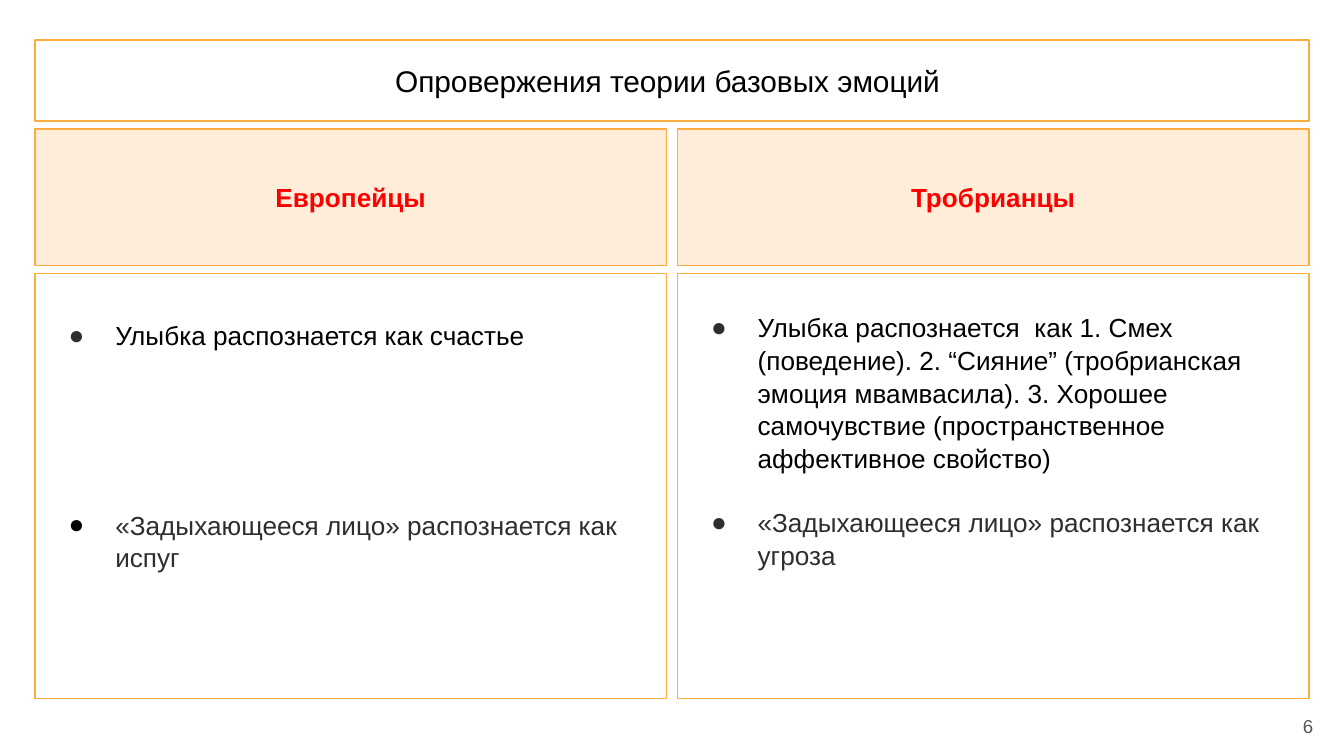
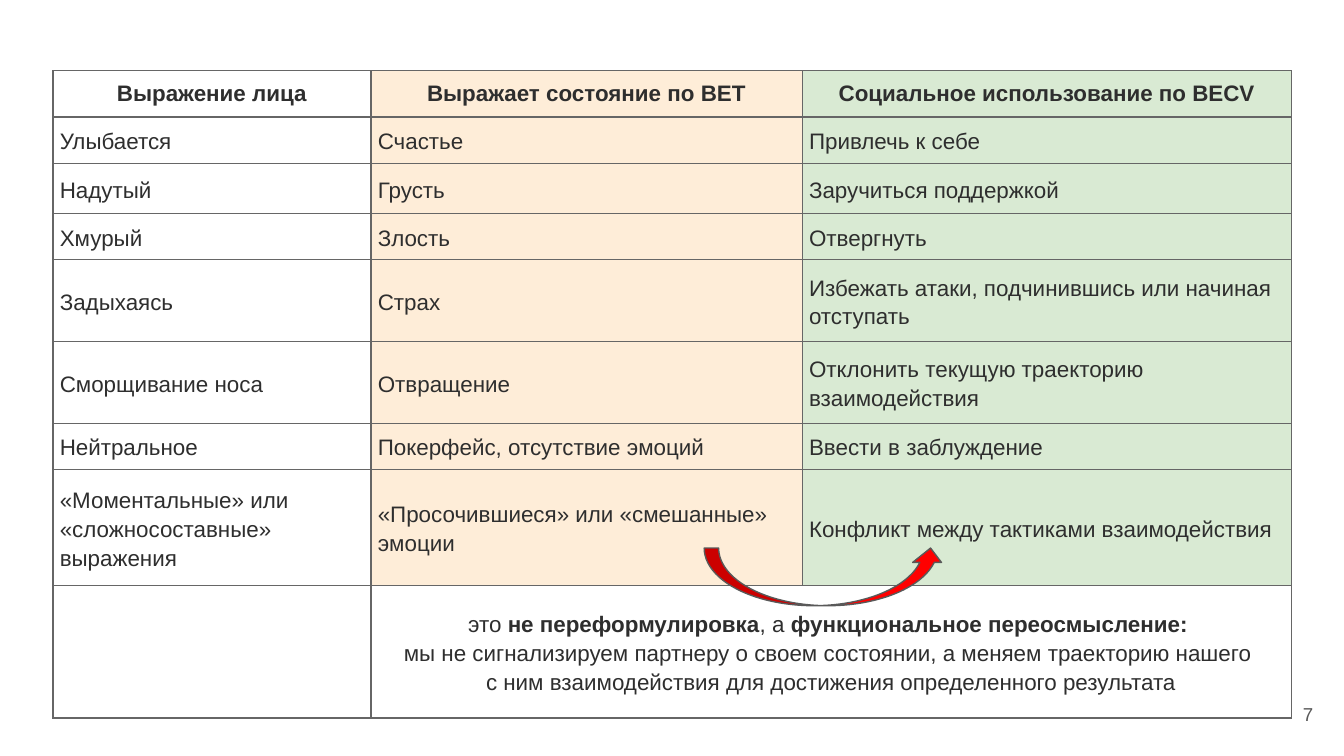
"""Builds two slides comparing views on the theory of basic emotions."""
from lxml import etree
from pptx import Presentation
from pptx import util as u
from pptx.dml.color import RGBColor
from pptx.enum import shapes, text
from pptx.oxml.ns import qn

FONT = "Arial"
BLACK, DARK, GREY, RED = "000000", "2E2E2E", "595959", "FF0000"
WHITE, CREAM, GREEN = "FFFFFF", "FEEDD8", "D9EAD3"
FRAME, GRID = "FFAB40", "666666"
CENTER, LEFT, RIGHT = text.PP_ALIGN.CENTER, text.PP_ALIGN.LEFT, text.PP_ALIGN.RIGHT
MIDDLE, TOP = text.MSO_ANCHOR.MIDDLE, text.MSO_ANCHOR.TOP

MARGIN, GAP, COLUMN = 0.66, 0.2, 11.94
COLUMN_LEFTS = [MARGIN, MARGIN + COLUMN + GAP]
BODY_TOP, BODY_HEIGHT = 5.17, 8.03

CULTURES = [
    ("Европейцы", 0.85, [
        ("Улыбка распознается как счастье", BLACK, DARK, 0),
        ("«Задыхающееся лицо» распознается как испуг", DARK, BLACK, 84),
    ]),
    ("Тробрианцы", 0.7, [
        ("Улыбка распознается  как 1. Смех (поведение). 2. “Сияние” (тробрианская "
         "эмоция мвамвасила). 3. Хорошее самочувствие (пространственное "
         "аффективное свойство)", BLACK, DARK, 0),
        ("«Задыхающееся лицо» распознается как угроза", DARK, DARK, 17),
    ]),
]

EXPRESSIONS = [
    ("Выражение лица", "Выражает состояние по BET", "Социальное использование по BECV"),
    ("Улыбается", "Счастье", "Привлечь к себе"),
    ("Надутый", "Грусть", "Заручиться поддержкой"),
    ("Хмурый", "Злость", "Отвергнуть"),
    ("Задыхаясь", "Страх", "Избежать атаки, подчинившись или начиная отступать"),
    ("Сморщивание носа", "Отвращение", "Отклонить текущую траекторию взаимодействия"),
    ("Нейтральное", "Покерфейс, отсутствие эмоций", "Ввести в заблуждение"),
    ("«Моментальные» или «сложносоставные» выражения",
     "«Просочившиеся» или «смешанные» эмоции",
     "Конфликт между тактиками взаимодействия"),
]
CONCLUSION = [
    [("это ", False), ("не переформулировка", True), (", а ", False),
     ("функциональное переосмысление: ", True)],
    [("мы не сигнализируем партнеру о своем состоянии, а меняем траекторию нашего ", False)],
    [("с ним взаимодействия для достижения определенного результата", False)],
]
COLUMN_WIDTHS = [6.01, 8.15, 9.25]
ROW_HEIGHTS = [0.87, 0.88, 0.95, 0.87, 1.55, 1.54, 0.87, 2.2, 2.5]


def color(value):
    """Turn a hex string into a colour."""
    return RGBColor.from_string(value)


def add_run(paragraph, words, size, tint, bold=False):
    """Append one formatted run."""
    run = paragraph.add_run()
    run.text = words
    font = run.font
    font.name, font.size, font.bold = FONT, u.Pt(size), bold
    font.color.rgb = color(tint)


def prepare_frame(frame, anchor, top=0.25):
    """Set wrapping, insets and anchor of a text frame."""
    frame.word_wrap = True
    frame.margin_left = frame.margin_right = frame.margin_bottom = u.Cm(0.25)
    frame.margin_top = u.Cm(top)
    frame.vertical_anchor = anchor


def add_panel(slide, left, top, width, height, fill=None, line=FRAME,
              kind=shapes.MSO_SHAPE.RECTANGLE):
    """Draw an outlined shape and return it."""
    panel = slide.shapes.add_shape(kind, *map(u.Cm, (left, top, width, height)))
    panel.shadow.inherit = False
    if fill:
        panel.fill.solid()
        panel.fill.fore_color.rgb = color(fill)
    else:
        panel.fill.background()
    panel.line.color.rgb = color(line)
    panel.line.width = u.Pt(0.75)
    return panel


def add_heading(slide, left, top, width, height, words, size, tint, fill=None, bold=False):
    """Draw a panel with one centred line."""
    frame = add_panel(slide, left, top, width, height, fill).text_frame
    prepare_frame(frame, MIDDLE)
    frame.paragraphs[0].alignment = CENTER
    add_run(frame.paragraphs[0], words, size, tint, bold)


def add_bullet(paragraph, tint):
    """Give a paragraph a hanging round bullet."""
    props = paragraph._p.get_or_add_pPr()
    props.set("marL", str(u.Cm(1.27)))
    props.set("indent", str(-u.Cm(0.88)))
    bullet_color = etree.SubElement(props, qn("a:buClr"))
    etree.SubElement(bullet_color, qn("a:srgbClr"), val=tint)
    etree.SubElement(props, qn("a:buFont"), typeface=FONT)
    etree.SubElement(props, qn("a:buChar"), char="●")


def add_findings(slide, left, inset, findings):
    """Draw a panel with a bulleted list."""
    frame = add_panel(slide, left, BODY_TOP, COLUMN, BODY_HEIGHT).text_frame
    prepare_frame(frame, TOP, inset)
    for index, (words, tint, bullet_tint, before) in enumerate(findings):
        paragraph = frame.add_paragraph() if index else frame.paragraphs[0]
        paragraph.alignment = LEFT
        paragraph.line_spacing = 1.04
        paragraph.space_before = u.Pt(before)
        add_bullet(paragraph, bullet_tint)
        add_run(paragraph, words, 14, tint)


def add_page_number(slide, number, top):
    """Write the page number at the lower right."""
    box = slide.shapes.add_textbox(*map(u.Cm, (23.55, top, 1.52, 1.09)))
    prepare_frame(box.text_frame, MIDDLE)
    paragraph = box.text_frame.paragraphs[0]
    paragraph.alignment = RIGHT
    add_run(paragraph, str(number), 10, GREY)


def style_cell(cell, fill, anchor):
    """Set fill, borders, insets and anchor of a table cell."""
    cell.margin_left = cell.margin_right = u.Cm(0.13)
    cell.margin_top = cell.margin_bottom = u.Cm(0.13)
    cell.vertical_anchor = anchor
    if fill:
        cell.fill.solid()
        cell.fill.fore_color.rgb = color(fill)
    else:
        cell.fill.background()
    props = cell._tc.get_or_add_tcPr()
    for index, side in enumerate(("lnL", "lnR", "lnT", "lnB")):
        border = etree.Element(qn(f"a:{side}"), w=str(u.Pt(0.75)))
        solid = etree.SubElement(border, qn("a:solidFill"))
        etree.SubElement(solid, qn("a:srgbClr"), val=GRID)
        props.insert(index, border)


def write_cell(cell, lines, alignment):
    """Fill a cell with lines made of (words, bold) runs."""
    frame = cell.text_frame
    for index, line in enumerate(lines):
        paragraph = frame.add_paragraph() if index else frame.paragraphs[0]
        paragraph.alignment = alignment
        paragraph.line_spacing = 1.15
        for words, bold in line:
            add_run(paragraph, words, 12, DARK, bold)


def add_expression_table(slide):
    """Build the table of facial expressions with its conclusion row."""
    frame = slide.shapes.add_table(
        len(ROW_HEIGHTS), len(COLUMN_WIDTHS), u.Cm(1), u.Cm(1.34),
        u.Cm(sum(COLUMN_WIDTHS)), u.Cm(sum(ROW_HEIGHTS)))
    table = frame.table
    table.first_row = table.horz_banding = False
    for column, width in zip(table.columns, COLUMN_WIDTHS):
        column.width = u.Cm(width)
    for row, height in zip(table.rows, ROW_HEIGHTS):
        row.height = u.Cm(height)
    for r, words_row in enumerate(EXPRESSIONS):
        header = r == 0
        fills = (WHITE if header else None, CREAM, GREEN)
        for c, (words, fill) in enumerate(zip(words_row, fills)):
            cell = table.cell(r, c)
            style_cell(cell, fill, TOP if header else MIDDLE)
            write_cell(cell, [[(words, header)]], CENTER if header else LEFT)
    last = len(EXPRESSIONS)
    for c in range(len(COLUMN_WIDTHS)):
        style_cell(table.cell(last, c), None, MIDDLE)
    table.cell(last, 1).merge(table.cell(last, 2))
    write_cell(table.cell(last, 1), CONCLUSION, CENTER)


def build_cultures(slide):
    """Compare how two cultures read the same faces."""
    add_heading(slide, MARGIN, 0.76, 2 * COLUMN + GAP, 1.53,
                "Опровержения теории базовых эмоций ", 16, BLACK)
    for left, (culture, inset, findings) in zip(COLUMN_LEFTS, CULTURES):
        add_heading(slide, left, 2.44, COLUMN, 2.58, culture, 14, RED, CREAM, True)
        add_findings(slide, left, inset, findings)
    add_page_number(slide, 6, 13.18)


def build_expressions(slide):
    """Contrast two theories of facial expression."""
    add_page_number(slide, 7, 12.95)
    add_expression_table(slide)
    shift = add_panel(slide, 13.31, 10.36, 4.55, 1.09, RED, GREY,
                      shapes.MSO_SHAPE.CURVED_UP_ARROW)
    for index, value in enumerate((0.25, 0.5, 0.25)):
        shift.adjustments[index] = value


def main():
    """Build and save the presentation."""
    deck = Presentation()
    deck.slide_width, deck.slide_height = u.Cm(25.4), u.Cm(14.29)
    for build in (build_cultures, build_expressions):
        build(deck.slides.add_slide(deck.slide_layouts[6]))
    deck.save("out.pptx")


if __name__ == "__main__":
    main()
